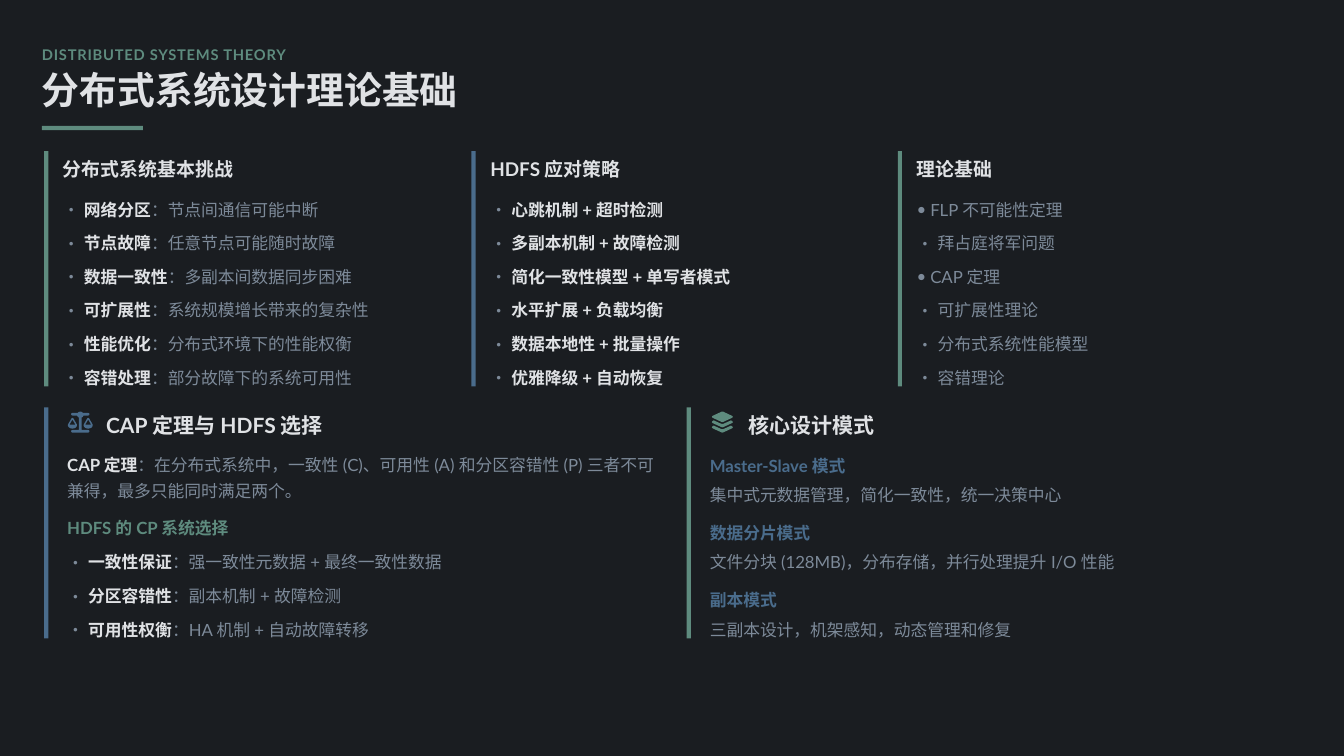
from dataclasses import dataclass

from lxml import etree
from pptx import Presentation
from pptx.dml.color import RGBColor
from pptx.enum.shapes import MSO_SHAPE
from pptx.enum.text import MSO_ANCHOR
from pptx.oxml.ns import qn
from pptx.util import Pt

RECT = MSO_SHAPE.RECTANGLE
TOP, MIDDLE = MSO_ANCHOR.TOP, MSO_ANCHOR.MIDDLE
PX = 12700  # EMU in one px


@dataclass(frozen=True)
class Theme:
    back: str = "1A1D21"
    ink: str = "E0E2E5"
    muted: str = "7D8A99"
    green: str = "5E8B7E"
    blue: str = "4A6C8C"
    font: str = "Lato"
    cjk: str = "Noto Sans CJK SC"
    label: int = 14
    body: int = 16
    head: int = 18
    panel: int = 20
    title: int = 36


T = Theme()
PLAIN = {"color": T.muted, "size": T.body, "bold": False, "name": T.font}
BOLD = {**PLAIN, "color": T.ink, "bold": True}
HEAD = {**BOLD, "size": T.head}
PANEL = {**BOLD, "size": T.panel}
LABEL = {**BOLD, "color": T.green, "size": T.label}
TITLE = {**BOLD, "size": T.title, "name": T.cjk}

# Icon outlines on a grid 512 units high
PAN = [(512, 416), (465, 408), (425, 386), (402, 349), (401, 323), (407, 307),
       (491, 163), (512, 152), (533, 163), (617, 307), (623, 323), (622, 349),
       (599, 386), (559, 408)]
HOLE = [(439, 320), (585, 320), (512, 195)]
POST = [(384, 32), (512, 32), (535, 41), (544, 64), (535, 87), (512, 96),
        (399, 96), (381, 128), (352, 147), (352, 448), (512, 448), (535, 457),
        (544, 480), (535, 503), (512, 512), (320, 512)]
LAYER = [(45, 214), (220, 294), (256, 302), (292, 294), (467, 214), (498, 234),
         (512, 256), (498, 278), (279, 379), (256, 384), (233, 379), (14, 278),
         (0, 256), (14, 234)]
SHEET = [(233, 5), (256, 0), (279, 5), (498, 106), (512, 128), (498, 150),
         (279, 251), (256, 256), (233, 251), (14, 150), (0, 128), (14, 106)]


def flip(points):
    return [(640 - x, y) for x, y in points]


FRAME = [(320, 0), (356, 9)] + POST + flip(POST)[::-1] + [(284, 9)]
SCALES = [FRAME, PAN, HOLE, flip(PAN), flip(HOLE)]
STACK = [SHEET, LAYER, [(x, y + 128) for x, y in LAYER]]


def paint(shape, color):
    shape.shadow.inherit = False
    shape.fill.solid()
    shape.fill.fore_color.rgb = RGBColor.from_string(color)
    shape.line.fill.background()


def bar(slide, x, y, w, h, color):
    paint(slide.shapes.add_shape(RECT, x * PX, y * PX, w * PX, h * PX), color)


def icon(slide, x, y, h, loops, color):
    form = slide.shapes.build_freeform(*loops[0][0], scale=h * PX / 512)
    for i, loop in enumerate(loops):
        if i:
            form.move_to(*loop[0])
        form.add_line_segments(loop[1:], close=True)
    paint(form.convert_to_shape(x * PX, y * PX), color)


def dot(para, lead):
    """Bullet matching the script of the text it leads."""
    latin = lead.isascii()
    gap = (13 if latin else 20) * PX
    props = para._p.get_or_add_pPr()
    props.set("marL", str(gap))
    props.set("indent", str(-gap))
    tint = etree.SubElement(props, qn("a:buClr"))
    etree.SubElement(tint, qn("a:srgbClr"), val=T.muted)
    etree.SubElement(props, qn("a:buFont"), typeface=T.font if latin else T.cjk)
    etree.SubElement(props, qn("a:buChar"), char="•")


def write(para, runs):
    for words, form in runs:
        run = para.add_run()
        run.text = words
        for key, value in form.items():
            if key == "color":
                run.font.color.rgb = RGBColor.from_string(value)
            else:
                setattr(run.font, key, Pt(value) if key == "size" else value)
        etree.SubElement(run._r.get_or_add_rPr(), qn("a:ea"), typeface=form["name"])


def text(slide, x, y, w, h, paras, space=1.3, anchor=MIDDLE, dots=False, gap=0):
    """Text box; gap is the space before every second pair of paragraphs."""
    frame = slide.shapes.add_textbox(x * PX, y * PX, w * PX, h * PX).text_frame
    look = {"word_wrap": True, "vertical_anchor": anchor, "margin_left": 0,
            "margin_top": 0, "margin_right": 0, "margin_bottom": 0}
    for key, value in look.items():
        setattr(frame, key, value)
    for i, runs in enumerate(paras):
        para = frame.add_paragraph() if i else frame.paragraphs[0]
        if dots:
            dot(para, runs[0][0][0])
        para.line_spacing = space
        if gap and i and i % 2 == 0:
            para.space_before = Pt(gap)
        write(para, runs)
    return frame


def pair(term, note):
    return [(term, BOLD), ("：" + note, PLAIN)]


def points(slide, x, y, w, rows):
    text(slide, x, y, w, 32 * len(rows), rows, Pt(32), TOP, dots=True)


def header(slide, x, y, w):
    frame = text(slide, x, y, w, 20, [[("DISTRIBUTED SYSTEMS THEORY", LABEL)]], 1.2)
    frame.paragraphs[0].runs[0]._r.get_or_add_rPr().set("spc", "70")
    text(slide, x, y + 28, w, 40, [[("分布式系统设计理论基础", TITLE)]], 0.9)
    bar(slide, x, y + 80, 96, 4, T.green)


def column(slide, x, y, w, color, name, rows):
    bar(slide, x + 2, y, 4, 224, color)
    text(slide, x + 20, y, w - 20, 28, [[(name, HEAD)]])
    points(slide, x + 20, y + 33, w - 20, rows)


def panel(slide, x, y, wide, color, name, loops, inset):
    bar(slide, x + 2, y, 4, 220, color)
    icon(slide, x + inset, y + 4, 20, loops, color)
    text(slide, x + 61, y, wide, 28, [[(name, PANEL)]], 1.2)


def choice(slide, x, y, w):
    panel(slide, x, y, 219, T.blue, "CAP 定理与 HDFS 选择", SCALES, 24)
    left, wide = x + 24, w - 20
    intro = pair("CAP 定理", "在分布式系统中，一致性 (C)、可用性 (A) 和分区容错性 (P) "
                 "三者不可兼得，最多只能同时满足两个。")
    text(slide, left, y + 40, wide, 48, [intro])
    text(slide, left, y + 100, wide, 24,
         [[("HDFS 的 CP 系统选择", {**BOLD, "color": T.green})]])
    points(slide, left, y + 125, wide, [
        pair("一致性保证", "强一致性元数据 + 最终一致性数据"),
        pair("分区容错性", "副本机制 + 故障检测"),
        pair("可用性权衡", "HA 机制 + 自动故障转移")])


def modes(slide, x, y, w):
    panel(slide, x, y, 130, T.green, "核心设计模式", STACK, 26)
    rows = []
    for name, note in [
            ("Master-Slave 模式", "集中式元数据管理，简化一致性，统一决策中心"),
            ("数据分片模式", "文件分块 (128MB)，分布存储，并行处理提升 I/O 性能"),
            ("副本模式", "三副本设计，机架感知，动态管理和修复")]:
        rows += [[(name, {**BOLD, "color": T.blue})], [(note, PLAIN)]]
    text(slide, x + 24, y + 37, w - 20, 184, rows, Pt(28), TOP, gap=8)


def main():
    deck = Presentation()
    deck.slide_width, deck.slide_height = 1280 * PX, 720 * PX
    slide = deck.slides.add_slide(deck.slide_layouts[6])
    slide.background.fill.solid()
    slide.background.fill.fore_color.rgb = RGBColor.from_string(T.back)

    header(slide, 40, 40, 1207)

    # Upper row: three equal columns
    facts = [pair(*row) for row in [
        ("网络分区", "节点间通信可能中断"), ("节点故障", "任意节点可能随时故障"),
        ("数据一致性", "多副本间数据同步困难"), ("可扩展性", "系统规模增长带来的复杂性"),
        ("性能优化", "分布式环境下的性能权衡"), ("容错处理", "部分故障下的系统可用性")]]
    plans = [[(row, BOLD)] for row in [
        "心跳机制 + 超时检测", "多副本机制 + 故障检测", "简化一致性模型 + 单写者模式",
        "水平扩展 + 负载均衡", "数据本地性 + 批量操作", "优雅降级 + 自动恢复"]]
    bases = [[(row, PLAIN)] for row in [
        "FLP 不可能性定理", "拜占庭将军问题", "CAP 定理",
        "可扩展性理论", "分布式系统性能模型", "容错理论"]]
    cols = [(T.green, "分布式系统基本挑战", facts), (T.blue, "HDFS 应对策略", plans),
            (T.green, "理论基础", bases)]
    for i, col in enumerate(cols):
        column(slide, 40 + round(i * 1220 / 3), 144, 396, *col)

    # Lower row: two panels
    for i, draw in enumerate([choice, modes]):
        draw(slide, 40 + i * 612, 388, 592)

    deck.save("out.pptx")


if __name__ == "__main__":
    main()
